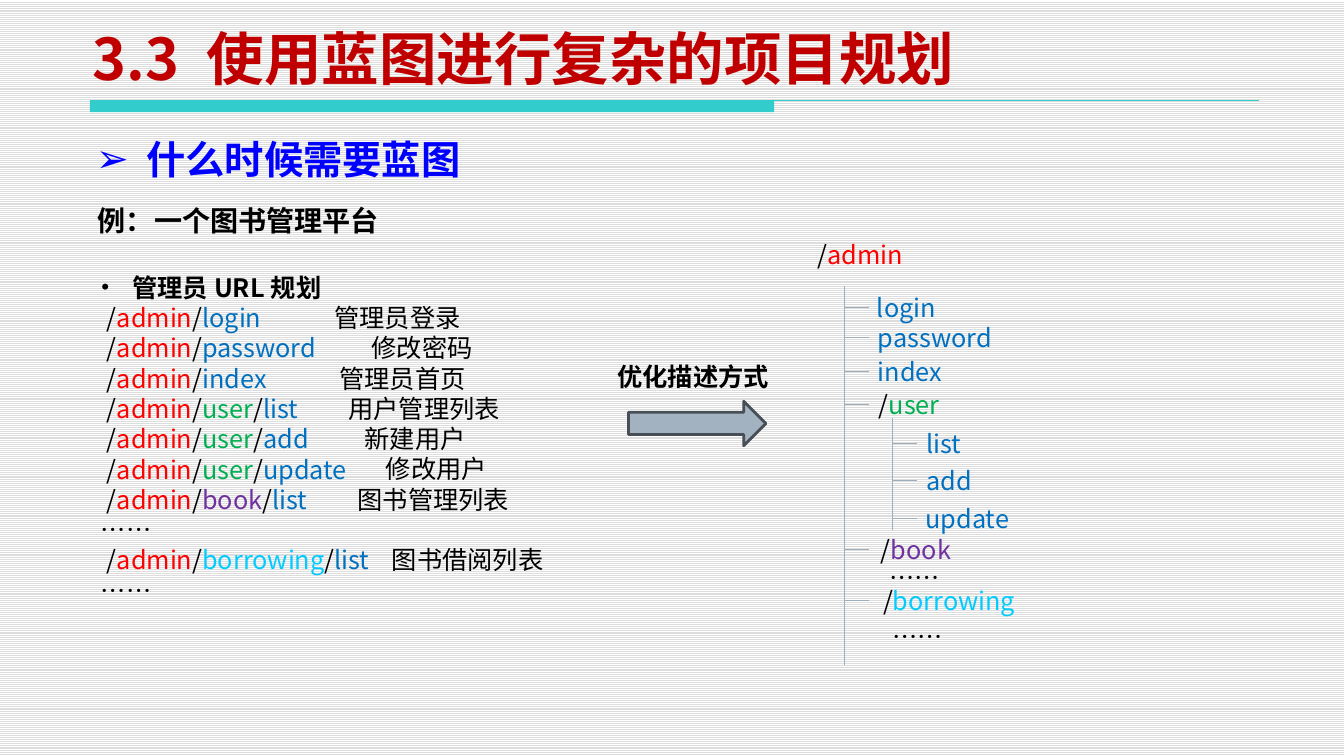
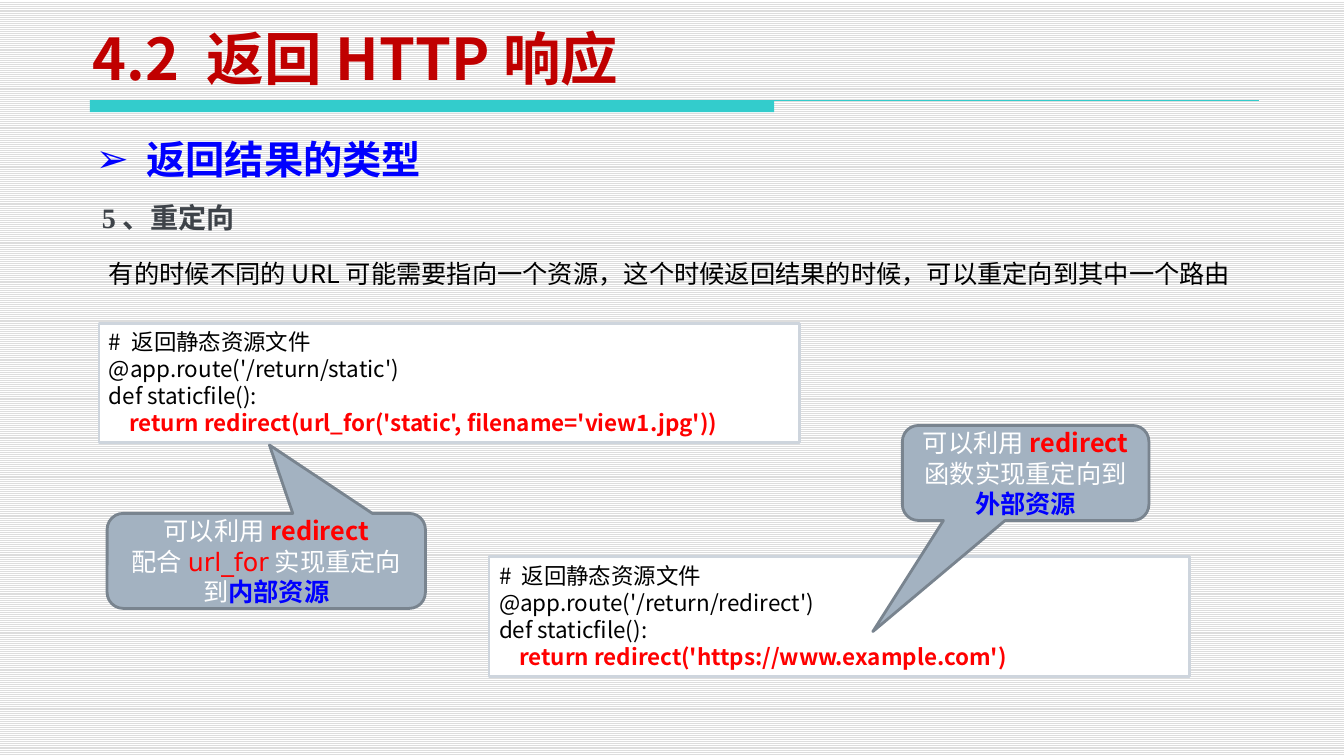
from dataclasses import dataclass

from lxml.etree import SubElement
from pptx import Presentation
from pptx.dml.color import RGBColor
from pptx.enum.dml import MSO_PATTERN
from pptx.enum.shapes import MSO_CONNECTOR, MSO_SHAPE
from pptx.enum.text import MSO_ANCHOR, MSO_AUTO_SIZE, PP_ALIGN
from pptx.oxml.ns import qn
from pptx.util import Inches, Pt

# The slide is a grid of 133 columns by 74.8 rows of square cells.
CELL = Inches(0.1)
COLUMNS, ROWS = 133, 74.8
LINE_HEIGHT = 1.2
CJK, SANS, SERIF = "Noto Sans CJK SC", "DejaVu Sans", "Times New Roman"
BULLET_FONTS = {"➢": SANS, "•": SERIF}

COLORS = {
    "paper": "FFFFFF", "stripe": "DDDDDD", "title": "C00000", "band": "33CCCC",
    "heading": "0000FF", "black": "000000", "white": "FFFFFF", "gray": "3E4349",
    "red": "FF0000", "blue": "0070C0", "green": "00B050", "purple": "7030A0",
    "cyan": "00CCFF", "steel": "A3B2C1", "arrow edge": "474E55",
    "callout edge": "79848F", "code edge": "CED5DD", "branch": "9FAEBD",
}
SEGMENT_COLORS = {"admin": "red", "user": "green", "book": "purple",
                  "borrowing": "cyan", "……": "black"}

# Each row: URL, description, indent of the description in cells
ADMIN_URLS = [
    ("/admin/login", "管理员登录", 23.1),
    ("/admin/password", "修改密码", 26.8),
    ("/admin/index", "管理员首页", 23.6),
    ("/admin/user/list", "用户管理列表", 24.5),
    ("/admin/user/add", "新建用户", 26.1),
    ("/admin/user/update", "修改用户", 28.2),
    ("/admin/book/list", "图书管理列表", 25.4),
    ("……", "", 0),
    ("/admin/borrowing/list", "图书借阅列表", 28.8),
    ("……", "", 0),
]
# Each node: label, depth, left edge, row of its middle
URL_TREE = [
    ("login", 1, 85.8, 30.4), ("password", 1, 85.9, 33.4),
    ("index", 1, 85.9, 36.8), ("/user", 1, 86, 40),
    ("list", 2, 90.7, 43.9), ("add", 2, 90.7, 47.5), ("update", 2, 90.6, 51.3),
    ("/book", 1, 86.2, 54.4), ("……", 1, 87, 57.1),
    ("/borrowing", 1, 86.4, 59.4), ("……", 1, 87.3, 63),
]
TRUNKS = {1: (83.6, 28.3, 65.8), 2: (88.3, 41.4, 52.4)}
BRANCH = 2.4


@dataclass
class Run:
    text: str
    color: str = "black"
    bold: bool = False
    font: str = CJK


@dataclass
class Para:
    runs: list
    indent: float = 0
    hang: float = 0
    bullet: str = ""
    skipped: int = 0
    spacing: float = 1
    align: PP_ALIGN = PP_ALIGN.LEFT


def rgb(name):
    return RGBColor.from_string(COLORS[name])


def cells(*counts):
    return [round(count * CELL) for count in counts]


def apply(target, values):
    for name, value in values.items():
        setattr(target, name, value)


def add_run(paragraph, part, size):
    run = paragraph.add_run()
    run.text = part.text
    run.font.color.rgb = rgb(part.color)
    apply(run.font, {"size": Pt(size), "bold": part.bold, "name": part.font})
    SubElement(run.font._element, qn("a:ea"), typeface=CJK)


def format_paragraph(paragraph, para, size):
    line = size * LINE_HEIGHT
    apply(paragraph, {"alignment": para.align,
                      "line_spacing": Pt(line * para.spacing),
                      "space_before": Pt(line * para.skipped)})
    properties = paragraph._p.get_or_add_pPr()
    margin, hang = cells(para.indent, -para.hang)
    properties.set("marL", str(margin))
    properties.set("indent", str(hang))
    if para.bullet:
        SubElement(properties, qn("a:buFont"), typeface=BULLET_FONTS[para.bullet])
        SubElement(properties, qn("a:buChar"), char=para.bullet)


def write(shape, paras, size, anchor=MSO_ANCHOR.TOP):
    frame = shape.text_frame
    side, top = cells(1, 0.5)
    apply(frame, {"word_wrap": True, "auto_size": MSO_AUTO_SIZE.NONE,
                  "vertical_anchor": anchor, "margin_left": side,
                  "margin_right": side, "margin_top": top, "margin_bottom": top})
    for number, para in enumerate(paras):
        paragraph = frame.add_paragraph() if number else frame.paragraphs[0]
        format_paragraph(paragraph, para, size)
        for part in para.runs:
            add_run(paragraph, part, size)


def add_text(slide, box, paras, size=18):
    write(slide.shapes.add_textbox(*cells(*box)), paras, size)


def add_block(slide, preset, box, fill, edge=None):
    block = slide.shapes.add_shape(preset, *cells(*box))
    block.shadow.inherit = False
    block.fill.solid()
    block.fill.fore_color.rgb = rgb(fill)
    if edge:
        block.line.color.rgb = rgb(edge)
        block.line.width = Pt(2)
    else:
        block.line.fill.background()
    return block


def add_line(slide, start, end, color):
    line = slide.shapes.add_connector(MSO_CONNECTOR.STRAIGHT, *cells(*start, *end))
    line.line.color.rgb = rgb(color)
    line.line.width = Pt(0.75)
    SubElement(line._element.spPr, qn("a:effectLst"))


def add_topic_slide(prs, title, heading):
    """Add a slide with its title, two-part band and bulleted heading."""
    slide = prs.slides.add_slide(prs.slide_layouts[5])
    left, top, width, height = cells(8.2, 2.7, 97, 6.9)
    apply(slide.shapes.title,
          {"left": left, "top": top, "width": width, "height": height})
    write(slide.shapes.title, [Para([Run(title, "title", True)])], 41,
          MSO_ANCHOR.BOTTOM)
    add_block(slide, MSO_SHAPE.RECTANGLE, (8.9, 9.9, 67.7, 1.2), "band")
    add_line(slide, (8.9, 9.9), (124.6, 9.9), "band")
    add_text(slide, (8.5, 12.9, 85, 5.8),
             [Para([Run(heading, "heading", True, SANS)], 5, 5, "➢")], 28)
    return slide


def url_runs(url):
    """Colour each segment of a URL by its name and keep the slashes black."""
    runs = []
    for number, segment in enumerate(url.split("/")):
        if number:
            runs.append(Run("/"))
        if segment:
            runs.append(Run(segment, SEGMENT_COLORS.get(segment, "blue")))
    return runs


def add_url_list(slide):
    """Add the URLs and, in a second column, what each one does."""
    urls = [Para([Run("管理员URL规划", bold=True)], 3.1, 3.1, "•", spacing=1.5)]
    descriptions = []
    skipped = 0
    for url, description, indent in ADMIN_URLS:
        urls.append(Para(url_runs(url), indent=0.6 if description else 0))
        if description:
            descriptions.append(Para([Run(description)], indent, skipped=skipped))
        skipped = 0 if description else skipped + 1
    add_text(slide, (9, 24.9, 54.3, 35.8), urls)
    add_text(slide, (9, 29.4, 54.3, 28), descriptions)


def add_url_tree(slide):
    add_text(slide, (79.9, 23.2, 13.8, 4), [Para(url_runs("/admin"))])
    for x, top, bottom in TRUNKS.values():
        add_line(slide, (x, top), (x, bottom), "branch")
    for label, depth, left, middle in URL_TREE:
        trunk = TRUNKS[depth][0]
        if label != "……":
            add_line(slide, (trunk, middle), (trunk + BRANCH, middle), "branch")
        add_text(slide, (left, middle - 2, 17.3, 4), [Para(url_runs(label))])


def add_code(slide, left, top, lines, result):
    """Add a code panel whose indented last line is stressed."""
    panel = add_block(slide, MSO_SHAPE.RECTANGLE, (left, top, 69.3, 11.8),
                      "paper", "code edge")
    paras = [Para([Run(line)]) for line in lines]
    write(panel, paras + [Para([Run(result, "red", True)], indent=2)], 16)


def add_callout(slide, box, pointer, lines):
    callout = add_block(slide, MSO_SHAPE.ROUNDED_RECTANGULAR_CALLOUT, box,
                        "steel", "callout edge")
    for number, value in enumerate((*pointer, 0.17)):
        callout.adjustments[number] = value
    write(callout, [Para(runs, align=PP_ALIGN.CENTER) for runs in lines], 18,
          MSO_ANCHOR.MIDDLE)


def build_blueprint_slide(prs):
    slide = add_topic_slide(prs, "3.3 使用蓝图进行复杂的项目规划", "什么时候需要蓝图")
    add_text(slide, (8.7, 19.6, 98.4, 4.4),
             [Para([Run("例：一个图书管理平台", bold=True, font=SANS)])], 20)
    add_url_list(slide)
    add_block(slide, MSO_SHAPE.RIGHT_ARROW, (62.2, 39.7, 13.6, 4.4),
              "steel", "arrow edge")
    add_url_tree(slide)
    add_text(slide, (60.1, 35.3, 18, 4), [Para([Run("优化描述方式", bold=True)])])


def build_redirect_slide(prs):
    slide = add_topic_slide(prs, "4.2 返回HTTP响应", "返回结果的类型")
    add_text(slide, (9.1, 19.3, 98.4, 4.4),
             [Para([Run("5、重定向", "gray", True, SERIF)])], 20)
    add_text(slide, (9.8, 25.1, 114.2, 4), [Para([Run(
        "有的时候不同的URL可能需要指向一个资源，这个时候返回结果的时候，可以重定向到其中一个路由")])])

    opening = [Run("可以利用", "white", font=SANS), Run("redirect", "red", True)]
    add_code(slide, 9.8, 32,
             ["# 返回静态资源文件", "@app.route('/return/static')", "def staticfile():"],
             "return redirect(url_for('static', filename='view1.jpg'))")
    add_callout(slide, (10.6, 50.8, 31.5, 9.4), (0.01, -1.22), [
        opening,
        [Run("配合", "white", font=SANS), Run("url_for", "red", font=SANS),
         Run("实现重定向到", "white", font=SANS),
         Run("内部资源", "heading", True, SANS)]])
    add_code(slide, 48.4, 55.1,
             ["# 返回静态资源文件", "@app.route('/return/redirect')", "def staticfile():"],
             "return redirect('https://www.example.com')")
    add_callout(slide, (89.3, 42.1, 24.4, 9.4), (-0.62, 1.67), [
        opening,
        [Run("函数实现重定向到", "white", font=SANS),
         Run("外部资源", "heading", True, SANS)]])


def main():
    prs = Presentation()
    prs.slide_width, prs.slide_height = cells(COLUMNS, ROWS)
    backdrop = prs.slide_master.background.fill
    backdrop.patterned()
    backdrop.pattern = MSO_PATTERN.LIGHT_HORIZONTAL
    backdrop.fore_color.rgb = rgb("stripe")
    backdrop.back_color.rgb = rgb("paper")
    build_blueprint_slide(prs)
    build_redirect_slide(prs)
    prs.save("out.pptx")


if __name__ == "__main__":
    main()
